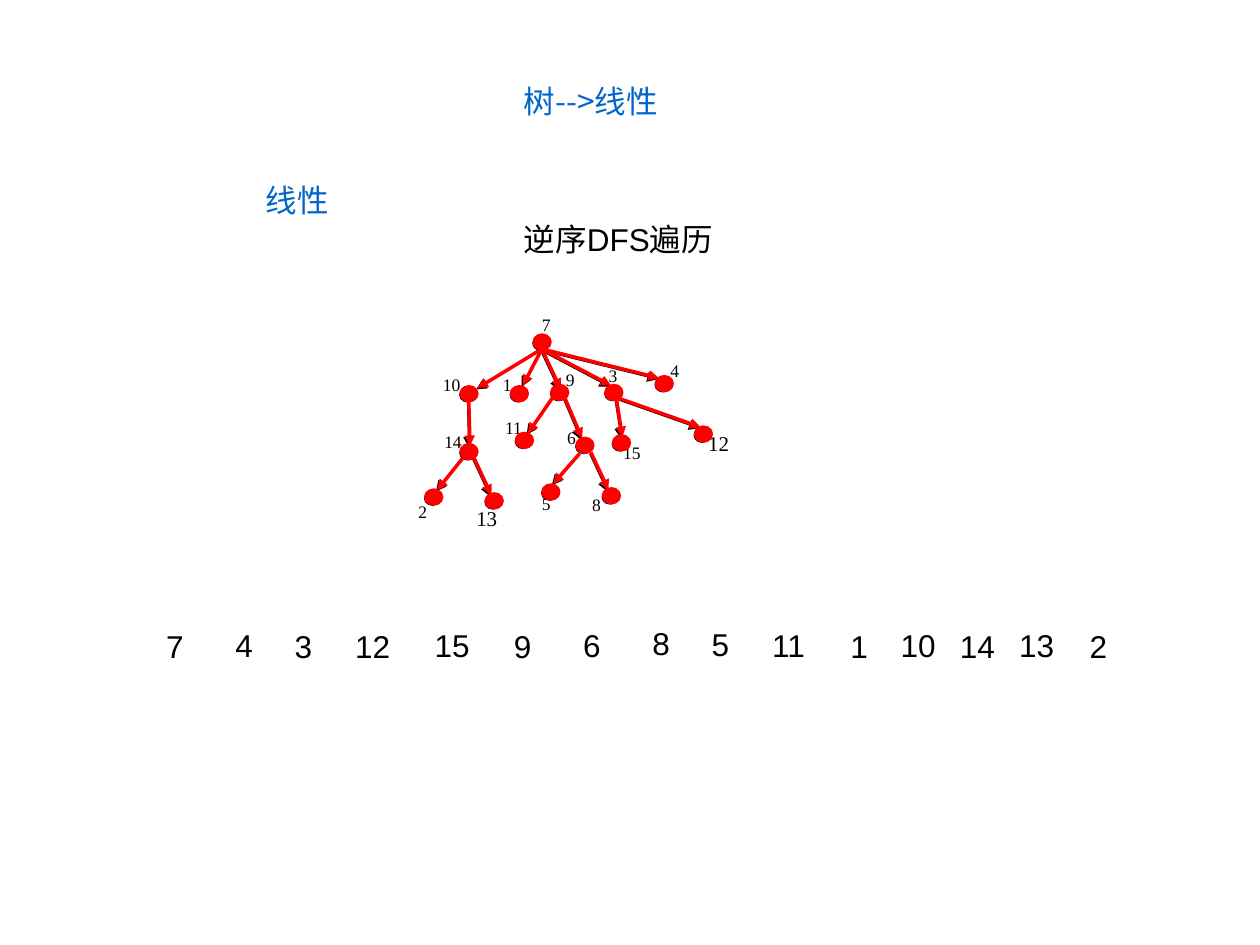
from pptx import Presentation
from pptx.dml.color import RGBColor as RGB
from pptx.enum.shapes import MSO_CONNECTOR as LINE, MSO_SHAPE as SHAPE
from pptx.enum.text import MSO_AUTO_SIZE as FIT, PP_ALIGN as ALIGN
from pptx.oxml.ns import qn
from pptx.util import Inches, Pt
from lxml.etree import SubElement as Sub

# The slide is a grid of 1000 columns by 750 rows
CELL = Inches(0.01)
COLS, ROWS = 1000, 750
HEX = {"blue": "0066CC", "black": "000000", "red": "FF0000"}

HEAD = {"size": Pt(18), "name": "Noto Sans CJK SC"}
BODY = {"size": Pt(18), "name": "Arial"}
TAG = {"size": Pt(10), "name": "Times New Roman"}
BIG = {**TAG, "size": Pt(12)}

DOT = (12.5, 11)
PAD = (10, 5)
ROOT = (100, 37)

# Node: dot corner, label corner, edge start, edge end
NODES = {
    "7": ((94, 26), (91, 9), None, None),
    "10": ((36, 67), (16, 57), ROOT, (49, 68)),
    "1": ((76, 67), (60, 57), ROOT, (85, 66)),
    "9": ((108, 66), (110, 53), ROOT, (115, 69)),
    "3": ((151, 66), (144, 50), ROOT, (155, 66)),
    "4": ((191, 59), (193, 46), ROOT, (193, 60)),
    "14": ((36, 113), (17, 102), (42, 75), (43, 114)),
    "2": ((8, 149), (2, 158), (37, 124), (17, 149)),
    "13": ((56, 152), (48, 161), (46, 123), (60, 153)),
    "11": ((80, 104), (65, 91), (109, 75), (89, 104)),
    "6": ((128, 108), (111, 99), (118, 75), (132, 108)),
    "5": ((101, 145), (91, 151), (130, 120), (109, 144)),
    "8": ((149, 148), (131, 152), (139, 119), (153, 149)),
    "15": ((157, 106), (159, 111), (159, 75), (164, 107)),
    "12": ((222, 99), (232, 102), (158, 75), (226, 99)),
}
LARGE = {"12", "13"}
LEFT = {"12", "13", "2"}

# Visit order: number, column and row in the order box
ORDER = [
    ("7", 0, 3), ("4", 55, 2), ("3", 102, 3), ("12", 150, 3), ("15", 213, 2),
    ("9", 276, 3), ("6", 331, 2), ("8", 386, 0), ("5", 433, 1), ("11", 481, 2),
    ("1", 543, 3), ("10", 583, 2), ("14", 630, 3), ("13", 677, 2), ("2", 733, 3),
]


def grid(*cells):
    return [round(c * CELL) for c in cells]


def write(slide, box, text, style, color="black", pad=PAD, wrap=True,
          align=None, gap=None, fit=FIT.NONE):
    frame = slide.shapes.add_textbox(*grid(*box)).text_frame
    x, y = grid(*pad)
    form = {"margin_left": x, "margin_right": x, "margin_top": y,
            "margin_bottom": y, "word_wrap": wrap, "auto_size": fit}
    for key, value in form.items():
        setattr(frame, key, value)
    para = frame.paragraphs[0]
    para.alignment, para.space_before = align, gap
    run = para.add_run()
    run.text = text
    for key, value in style.items():
        setattr(run.font, key, value)
    run.font.color.rgb = RGB.from_string(HEX[color])
    Sub(run.font._element, qn("a:ea"), typeface="Noto Sans CJK SC")


def arrow(slide, start, end, color, width):
    line = slide.shapes.add_connector(LINE.STRAIGHT, *grid(*start, *end))
    line.line.color.rgb = color
    line.line.width = width
    Sub(line.line._get_or_add_ln(), qn("a:tailEnd"), type="triangle")
    Sub(line._element.spPr, qn("a:effectLst"))


def tree(slide, box, name, width):
    color = RGB.from_string(HEX[name])

    def at(spot):
        return box[0] + spot[0], box[1] + spot[1]

    for dot, _, start, end in NODES.values():
        if start:
            arrow(slide, at(start), at(end), color, width)
        node = slide.shapes.add_shape(SHAPE.OVAL, *grid(*at(dot), *DOT))
        node.shadow.inherit = False
        node.fill.solid()
        node.fill.fore_color.rgb = node.line.color.rgb = color
        node.line.width = width


def tags(slide, box):
    for text, (_, (x, y), *_) in NODES.items():
        write(slide, (box[0] + x, box[1] + y, 25, 22), text,
              BIG if text in LARGE else TAG, pad=(0, 0),
              align=ALIGN.JUSTIFY if text in LEFT else ALIGN.CENTER)


def heads(slide, box):
    x, y = box[:2]
    for text, col, row, wide, high in [("树-->线性", 205, 0, 175, 50),
                                       ("线性", 0, 79, 158, 71)]:
        write(slide, (x + col, y + row, wide, high), text, HEAD, "blue",
              wrap=False)
    write(slide, (x + 205, y + 110, 496, 40), "逆序DFS遍历", BODY,
          gap=Pt(11.2), fit=FIT.SHAPE_TO_FIT_TEXT)


def order(slide, box):
    for text, col, row in ORDER:
        wide = 55 if col else 31
        write(slide, (box[0] + col, box[1] + row, wide, 40), text, BODY,
              gap=Pt(11.2), fit=FIT.SHAPE_TO_FIT_TEXT)


def main():
    deck = Presentation()
    deck.slide_width, deck.slide_height = grid(COLS, ROWS)
    slide = deck.slides.add_slide(deck.slide_layouts[6])
    area = (330, 240, 260, 185)

    # Thin dark tree with its labels, one row below the red one
    tree(slide, (329, 241, 260, 185), "black", Pt(0.75))
    tags(slide, area)
    # Headings
    heads(slide, (201, 60, 701, 150))
    # Red tree and the visit order
    tree(slide, area, "red", Pt(2))
    order(slide, (122, 490, 788, 43))
    deck.save("out.pptx")


if __name__ == "__main__":
    main()
